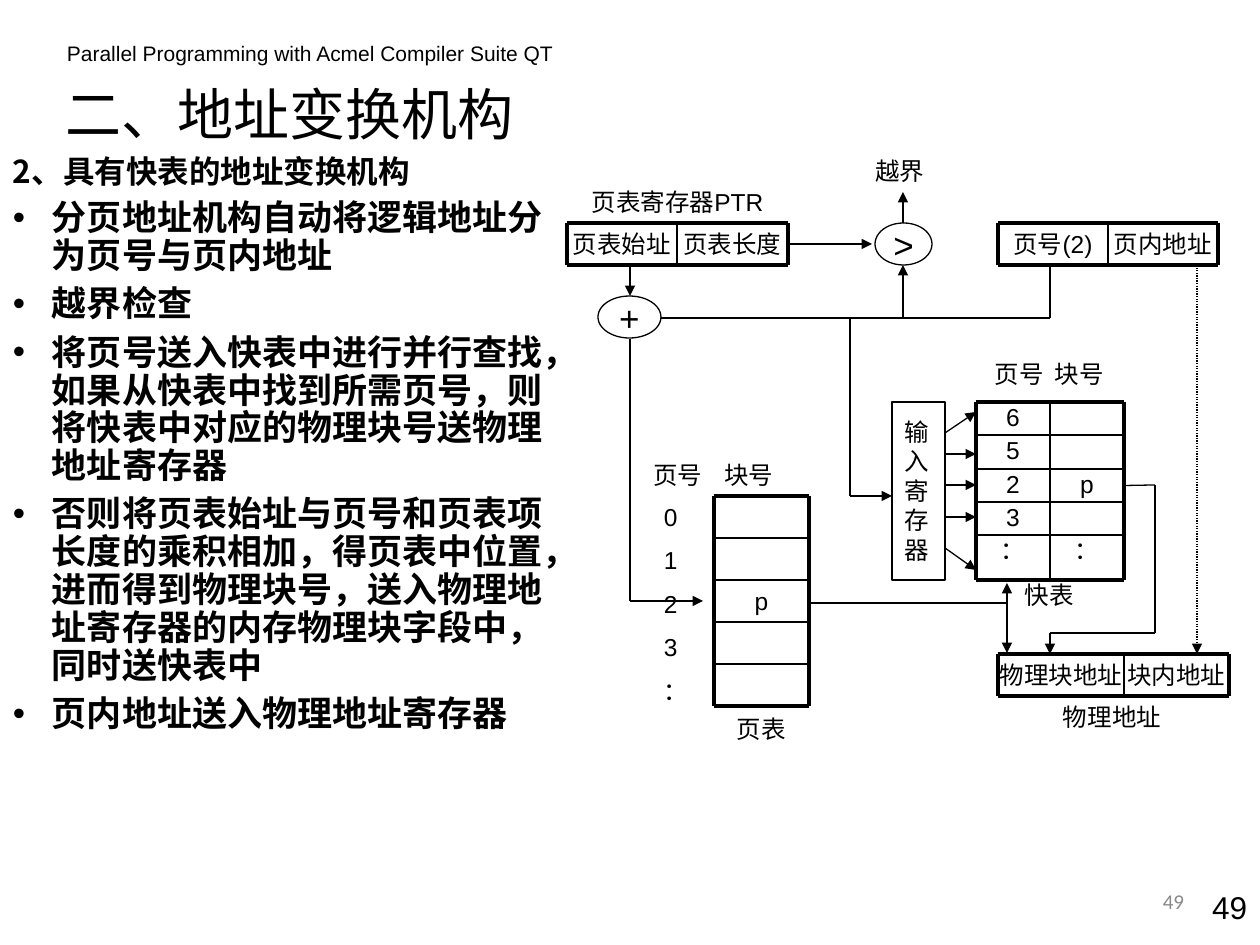
from lxml import etree
from pptx import Presentation
from pptx import util as u
from pptx.dml.color import RGBColor
from pptx.enum import dml, shapes, text
from pptx.oxml.ns import qn

PX = 914400 / 126
COLORS = {"ink": "000000", "muted": "898989"}
CJK = "Noto Sans CJK SC"
LEFT, CENTER, RIGHT = text.PP_ALIGN.LEFT, text.PP_ALIGN.CENTER, text.PP_ALIGN.RIGHT
MIDDLE = text.MSO_ANCHOR.MIDDLE
INK = RGBColor.from_string(COLORS["ink"])

deck = Presentation()
deck.slide_width, deck.slide_height = u.Inches(10), u.Inches(7.5)
slide = deck.slides.add_slide(deck.slide_layouts[5])


def label(lines, x, y, w, h, align=CENTER, size=14, font="Arial", color="ink",
          insets=(13, 6, 13, 6), anchor=text.MSO_ANCHOR.TOP, outline=None, tab=None):
    place = [u.Emu(round(v * PX)) for v in (x, y, w, h)]
    if outline is None:
        box = slide.shapes.add_textbox(*place)
    else:
        box = slide.shapes.add_shape(outline, *place)
        box.shadow.inherit = False
        box.fill.background()
        box.line.color.rgb = INK
        box.line.width = u.Pt(0.75)
    frame = box.text_frame
    frame.word_wrap = True
    frame.vertical_anchor = anchor
    frame.margin_left, frame.margin_top, frame.margin_right, frame.margin_bottom = [
        u.Emu(round(v * PX)) for v in insets]
    for i, line in enumerate(lines):
        para = frame.paragraphs[0] if i == 0 else frame.add_paragraph()
        para.alignment = align
        if i:
            para.space_before = u.Pt(8)
        if tab:
            stops = etree.SubElement(para._p.get_or_add_pPr(), qn("a:tabLst"))
            etree.SubElement(stops, qn("a:tab"), pos=str(round(tab * PX)), algn="l")
        run = para.add_run()
        run.text = line
        run.font.size = u.Pt(size)
        run.font.name = font
        run.font.color.rgb = RGBColor.from_string(COLORS[color])
    return box


def rule(x1, y1, x2, y2, weight=0.75, ends=()):
    line = slide.shapes.add_connector(
        shapes.MSO_CONNECTOR.STRAIGHT, *[u.Emu(round(v * PX)) for v in (x1, y1, x2, y2)])
    line.line.color.rgb = INK
    line.line.width = u.Pt(weight)
    props = line._element.spPr
    for end in ends:
        etree.SubElement(props.find(qn("a:ln")), qn("a:" + end), type="triangle")
    etree.SubElement(props, qn("a:effectLst"))
    return line


label(["Parallel Programming with Acmel Compiler Suite QT"], 54, 35, 517, 38, LEFT, 12)

title = slide.shapes.title
title.left, title.top, title.width, title.height = [
    u.Emu(round(v * PX)) for v in (53, 66, 714, 94)]
title.text_frame.vertical_anchor = MIDDLE
heading = title.text_frame.paragraphs[0]
heading.alignment = LEFT
heading_run = heading.add_run()
heading_run.text = "二、地址变换机构"
heading_run.font.size = u.Pt(32)
heading_run.font.name = CJK
heading_run.font.color.rgb = INK

steps = [
    "2、具有快表的地址变换机构",
    "分页地址机构自动将逻辑地址分为页号与页内地址",
    "越界检查",
    "将页号送入快表中进行并行查找，如果从快表中找到所需页号，则将快表中对应的物理块号送物理地址寄存器",
    "否则将页表始址与页号和页表项长度的乘积相加，得页表中位置，进而得到物理块号，送入物理地址寄存器的内存物理块字段中，同时送快表中",
    "页内地址送入物理地址寄存器",
]
outline_box = label(steps, 0, 150, 567, 609, LEFT, 20, CJK)
for i, para in enumerate(outline_box.text_frame.paragraphs):
    props = para._p.get_or_add_pPr()
    props.set("marL", str(round(39 * PX)))
    props.set("indent", str(round(-39 * PX)))
    if i:
        etree.SubElement(props, qn("a:buFont"), typeface="Arial")
        etree.SubElement(props, qn("a:buChar"), char="•")
        para.space_before = u.Pt(6)
    para.line_spacing = 0.9
    para.runs[0].font.bold = True
    para.runs[0].font.size = u.Pt(20 if i else 18)

registers = [
    ((567, 677, 788), 223, ("页表始址", "页表长度")),
    ((998, 1108, 1218), 223, ("页号(2)", "页内地址")),
    ((998, 1124, 1229), 654, ("物理块地址", "块内地址")),
]
fields = {}
for xs, y, names in registers:
    for x, right, name in zip(xs, xs[1:], names):
        fields[name] = label([name], x, y, right - x, 42, insets=(0, 6, 0, 6))

tlb_xs, tlb_ys = (976, 1050, 1124), (402, 435, 469, 502, 535, 580)
tlb_rows = [("6", ""), ("5", ""), ("2", "p"), ("3", ""), ("：", "：")]
for y, row in zip(tlb_ys, tlb_rows):
    for x, value in zip(tlb_xs, row):
        if value:
            fields["快表" + value] = label([value], x, y, 74, 33, insets=(13, 0, 13, 6))

page_xs, page_ys = (714, 809), range(496, 707, 42)
label(["p"], 714, 580, 95, 42)
label(["0", "1", "2", "3", "："], 651, 496, 63, 218, LEFT)

grids = [(xs, (y, y + 42)) for xs, y, names in registers]
grids += [(tlb_xs, tlb_ys), (page_xs, page_ys)]
for xs, ys in grids:
    for y in ys:
        rule(xs[0], y, xs[-1], y, 2.25 if y in (ys[0], ys[-1]) else 1)
    for x in xs:
        rule(x, ys[0], x, ys[-1], 2.25 if x in (xs[0], xs[-1]) else 1)

label(["页表寄存器PTR"], 567, 181, 221, 42)
label(["越界"], 857, 150, 86, 42)
label(["物理地址"], 1050, 696, 136, 42, LEFT)
label(["页表"], 714, 708, 95, 42)
label(["快表"], 976, 580, 147, 35, insets=(13, 0, 13, 6))
label(["页号\t块号"], 640, 454, 168, 42, LEFT, tab=71)
label(["页号\t块号"], 982, 359, 141, 35, LEFT, insets=(13, 0, 0, 6), tab=60)
label(["输入寄存器"], 892, 402, 53, 178, LEFT, insets=(13, 15, 13, 15),
      outline=shapes.MSO_SHAPE.RECTANGLE)
for sign, x, y, w in ((">", 875, 223, 57), ("+", 598, 296, 63)):
    label([sign], x, y, w, 42, size=20, insets=(0, 0, 0, 0), anchor=MIDDLE,
          outline=shapes.MSO_SHAPE.OVAL)

plain_wires = [
    (1050, 265, 1050, 318), (1050, 318, 903, 318), (914, 318, 661, 318),
    (630, 339, 630, 601), (850, 318, 850, 496), (924, 318, 850, 318),
    (1155, 485, 1155, 633), (1155, 633, 1050, 633), (809, 603, 1007, 603),
]
for wire in plain_wires:
    rule(*wire)

arrows = [
    (903, 223, 903, 192), (903, 318, 903, 265), (630, 265, 630, 296),
    (630, 601, 703, 601), (1050, 633, 1050, 654), (850, 496, 892, 496),
    (945, 433, 976, 412), (945, 454, 976, 454), (945, 485, 976, 485),
    (945, 517, 976, 517), (945, 548, 976, 570),
]
for arrow in arrows:
    rule(*arrow, ends=("tailEnd",))
rule(1007, 583, 1007, 653, ends=("headEnd", "tailEnd"))
offset_path = rule(1197, 265, 1197, 654, ends=("tailEnd",))
offset_path.line.dash_style = dml.MSO_LINE.ROUND_DOT

length_check = rule(788, 244, 872, 244, ends=("tailEnd",))
length_check.begin_connect(fields["页表长度"], 3)
block_hit = rule(1124, 485, 1155, 485)
block_hit.begin_connect(fields["快表p"], 3)

label(["49"], 1176, 882, 84, 63, RIGHT, 18)
label(["49"], 903, 876, 294, 50, RIGHT, 12, "Calibri", "muted", anchor=MIDDLE)

deck.save("out.pptx")
